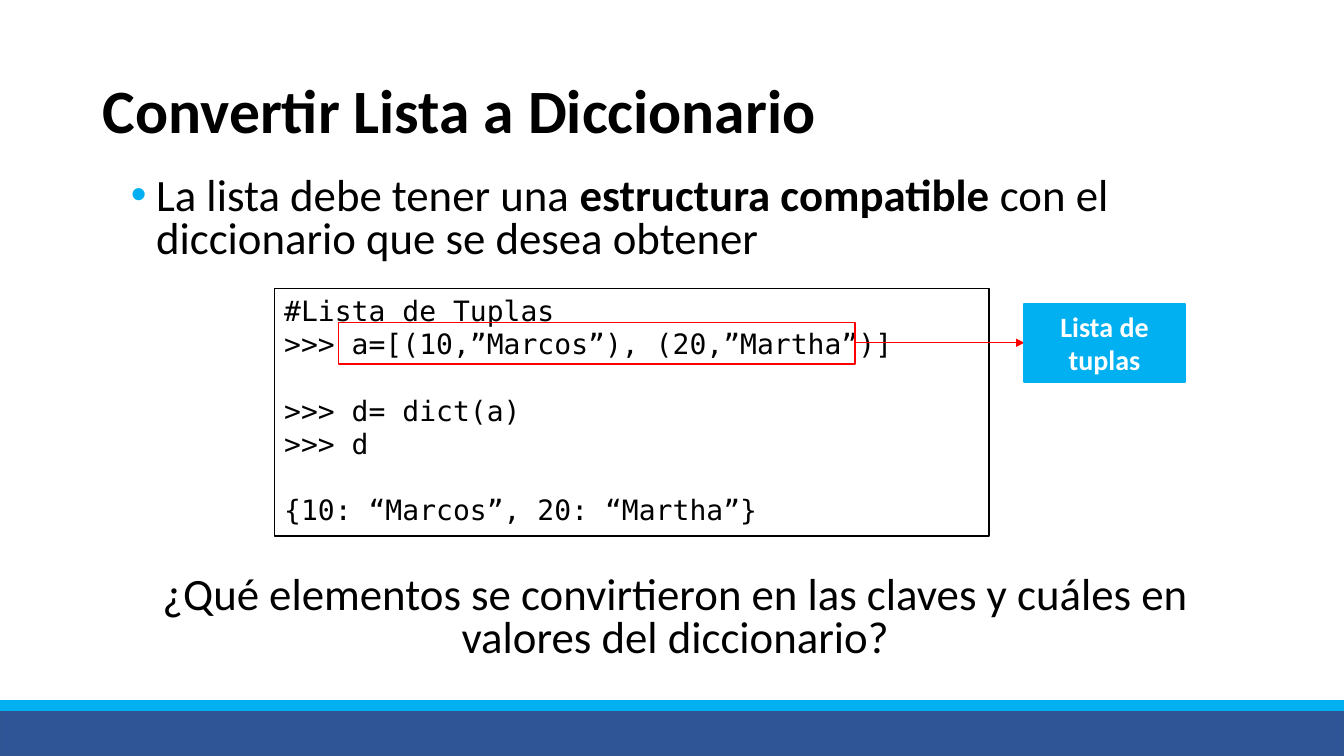
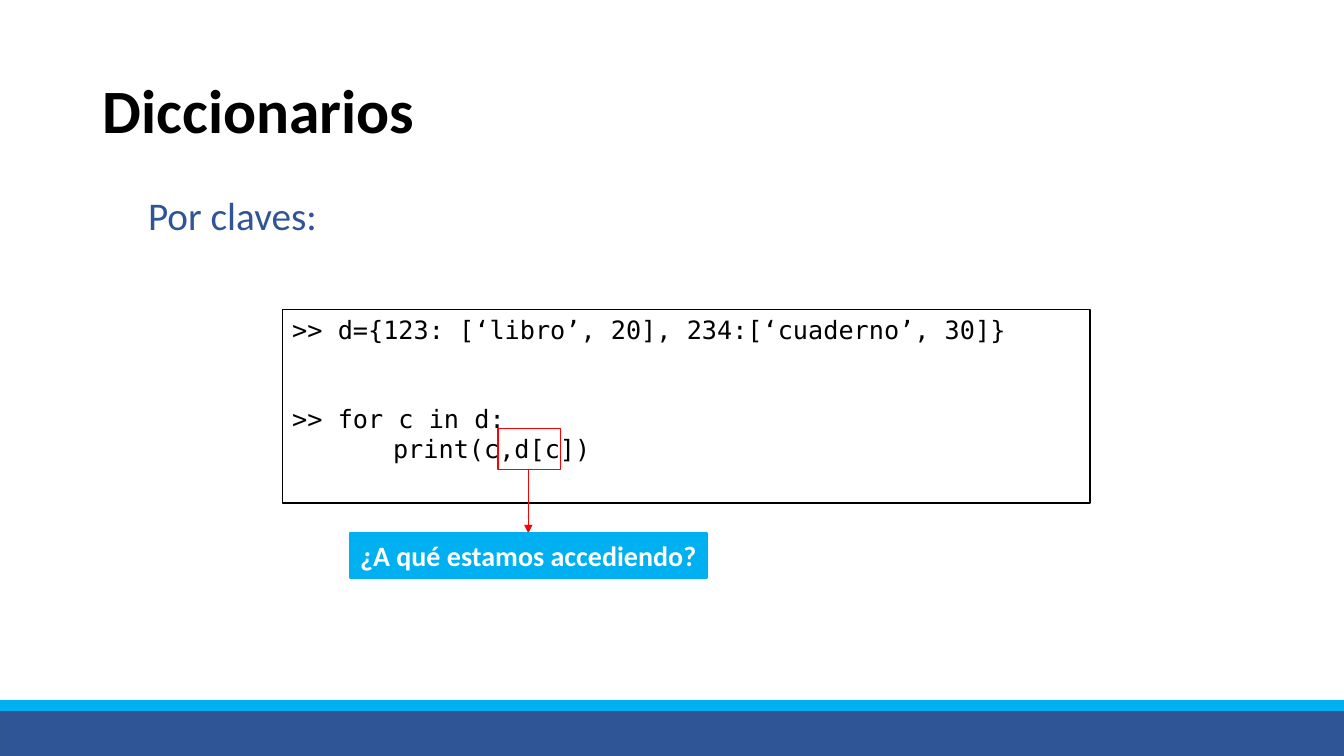
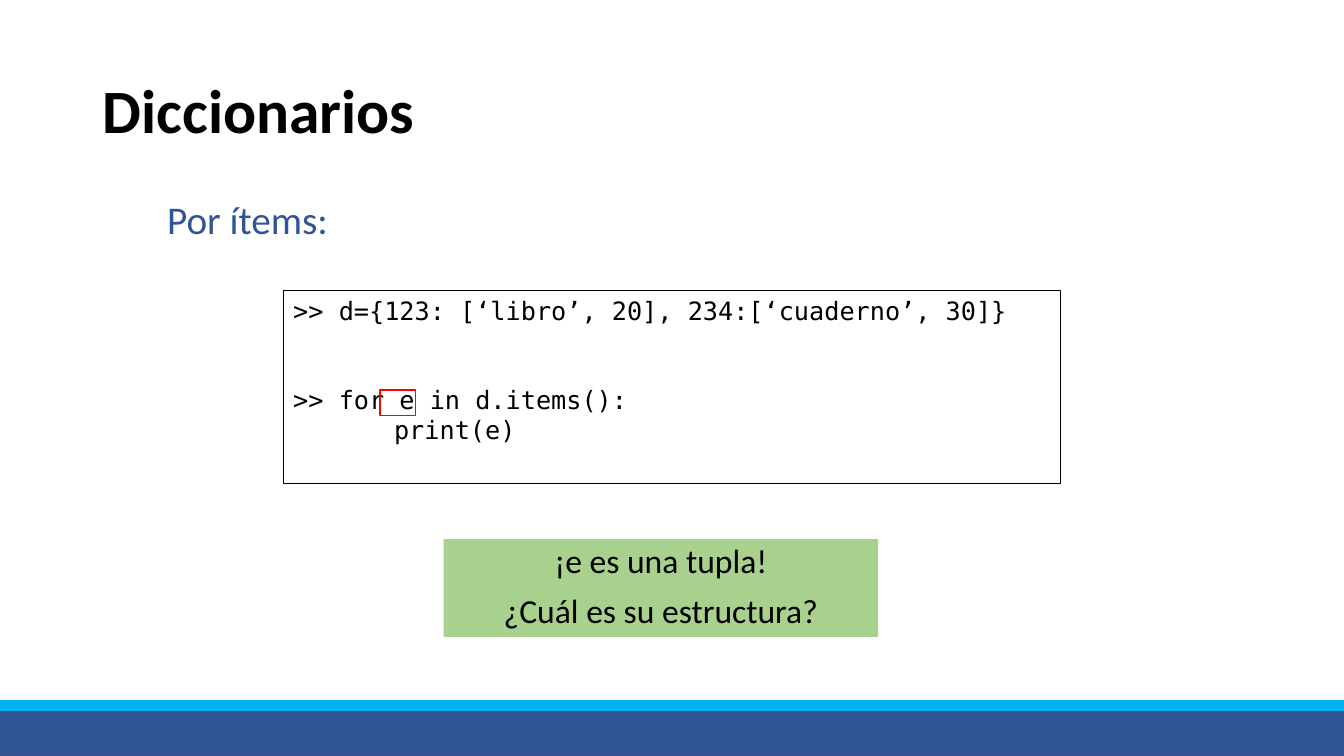
from lxml import etree
from pptx import Presentation
from pptx import util as u
from pptx.dml import color
from pptx.enum import shapes, text
from pptx.oxml import ns

COLORS = {
    "black": "000000", "white": "FFFFFF", "red": "FF0000", "cyan": "00B0F0",
    "blue": "2F5597", "blue_edge": "325491", "green": "A9D18E",
}
SANS = "Calibri"
MONO = "DejaVu Sans Mono"
CENTER = text.PP_ALIGN.CENTER
CODE_LINE = 1.164
TITLE = {"size": u.Pt(44), "bold": True}
BODY = {"size": u.Pt(32)}
SUBTITLE = {"size": u.Pt(28), "color": "blue"}
CALLOUT = {"size": u.Pt(20), "bold": True, "color": "white"}
ANSWER = {"size": u.Pt(24)}
BODY_FORMAT = {"line_spacing": 0.8, "space_before": u.Pt(10)}


def rgb(name):
    return color.RGBColor.from_string(COLORS[name])


def add_xml(parent, tag, **attributes):
    return etree.SubElement(parent, ns.qn(tag), attributes)


def assign(target, values):
    for name, value in values.items():
        setattr(target, name, value)


def write(box, paragraphs, font, layout=None, anchor=text.MSO_ANCHOR.TOP):
    frame = box.text_frame
    assign(frame, {"word_wrap": True, "vertical_anchor": anchor})
    values = {"name": SANS, "bold": False, **font}
    ink = values.pop("color", "black")
    for index, runs in enumerate(paragraphs):
        para = frame.paragraphs[0] if index == 0 else frame.add_paragraph()
        assign(para, {"alignment": text.PP_ALIGN.LEFT, **(layout or {})})
        for content, bold in [(runs, None)] if isinstance(runs, str) else runs:
            span = para.add_run()
            span.text = content
            assign(span.font, values if bold is None else {**values, "bold": bold})
            span.font.color.rgb = rgb(ink)
    return frame.paragraphs


def add_text(page, place, paragraphs, font, layout=None, **options):
    box = page.shapes.add_textbox(*map(u.Inches, place))
    return write(box, paragraphs, font, layout, **options)


def add_box(page, place, fill=None, line=None, width=1):
    box = page.shapes.add_shape(shapes.MSO_SHAPE.RECTANGLE, *map(u.Inches, place))
    box.shadow.inherit = False
    if fill:
        box.fill.solid()
        box.fill.fore_color.rgb = rgb(fill)
    else:
        box.fill.background()
    if line:
        box.line.color.rgb = rgb(line)
        box.line.width = u.Pt(width)
    else:
        box.line.fill.background()
    return box


def add_code(page, place, size, lines):
    box = add_box(page, place, "white", "black")
    paragraphs = write(box, [line for line, _, _ in lines],
                       {"name": MONO, "size": u.Pt(size)})
    for para, (_, blank_lines, indent) in zip(paragraphs, lines):
        para.space_before = u.Pt(round(blank_lines * size * CODE_LINE, 1))
        para._p.get_or_add_pPr().set("marL", str(u.Inches(indent)))


def add_callout(page, place, label):
    box = add_box(page, place, "cyan", "cyan", 1.5)
    write(box, [label], CALLOUT, {"alignment": CENTER})


def add_highlight(page, place):
    add_box(page, place, line="red")


def add_arrow(page, start, end):
    arrow = page.shapes.add_connector(
        shapes.MSO_CONNECTOR.STRAIGHT, *map(u.Inches, (*start, *end)))
    arrow.line.color.rgb = rgb("red")
    arrow.line.width = u.Pt(0.5)
    add_xml(arrow.line._get_or_add_ln(), "a:tailEnd", type="triangle")
    add_xml(arrow._element.spPr, "a:effectLst")


def add_bullet(para):
    properties = para._p.get_or_add_pPr()
    properties.set("marL", str(u.Inches(0.25)))
    properties.set("indent", str(u.Inches(-0.25)))
    add_xml(add_xml(properties, "a:buClr"), "a:srgbClr", val=COLORS["cyan"])
    add_xml(properties, "a:buFont", typeface="Arial")
    add_xml(properties, "a:buChar", char="•")


def add_page(deck, title):
    page = deck.slides.add_slide(deck.slide_layouts[6])
    add_box(page, (0, 7.03, 13.33, 0.47), "blue", "blue_edge")
    add_box(page, (0, 6.95, 13.33, 0.1), "cyan", "cyan")
    add_text(page, (0.92, 0.4, 11.5, 1.45), [title], TITLE,
             {"line_spacing": 0.9}, anchor=text.MSO_ANCHOR.MIDDLE)
    return page


def add_loop_code(page, place, loop, body):
    add_code(page, place, 18, [
        (">> d={123: [‘libro’, 20], 234:[‘cuaderno’, 30]}", 0, 0),
        (loop, 2, 0),
        (body, 0, 1),
    ])


def build_conversion(deck):
    page = add_page(deck, "Convertir Lista a Diccionario")
    statement = [("La lista debe tener una ", False),
                 ("estructura compatible ", True),
                 ("con el diccionario que se desea obtener", False)]
    add_bullet(add_text(page, (1.2, 1.71, 11, 1.05), [statement], BODY, BODY_FORMAT)[0])
    add_code(page, (2.72, 2.86, 7.09, 2.46), 20, [
        ("#Lista de Tuplas", 0, 0),
        (">>> a=[(10,”Marcos”), (20,”Martha”)]", 0, 0),
        (">>> d= dict(a)", 1, 0),
        (">>> d", 0, 0),
        ("{10: “Marcos”, 20: “Martha”}", 1, 0),
    ])
    add_arrow(page, (8.48, 3.4), (10.16, 3.4))
    add_callout(page, (10.16, 3.02, 1.59, 0.77), "Lista de tuplas")
    add_highlight(page, (3.36, 3.2, 5.12, 0.41))
    add_text(page, (1.2, 5.67, 11, 1.05),
             ["¿Qué elementos se convirtieron en las claves y cuáles en valores del diccionario?"],
             BODY, {**BODY_FORMAT, "alignment": CENTER})


def build_keys(deck):
    page = add_page(deck, "Diccionarios")
    add_loop_code(page, (2.8, 3.07, 8.01, 1.92), ">> for c in d:", "print(c,d[c])")
    add_text(page, (1.37, 1.85, 3.71, 0.57), ["Por claves:"], SUBTITLE)
    add_arrow(page, (5.24, 4.66), (5.24, 5.29))
    add_callout(page, (3.47, 5.29, 3.54, 0.44), "¿A qué estamos accediendo?")
    add_highlight(page, (4.94, 4.25, 0.62, 0.41))


def build_items(deck):
    page = add_page(deck, "Diccionarios")
    add_loop_code(page, (2.81, 2.88, 7.71, 1.92), ">> for e in d.items():", "print(e)")
    add_text(page, (1.56, 1.89, 4.93, 0.57), ["Por ítems:"], SUBTITLE)
    answer = add_box(page, (4.4, 5.35, 4.31, 0.97), "green")
    write(answer, ["¡e es una tupla!", "¿Cuál es su estructura?"], ANSWER,
          {"alignment": CENTER, "line_spacing": 0.9, "space_before": u.Pt(10)})
    add_highlight(page, (3.77, 3.87, 0.35, 0.25))


def main():
    deck = Presentation()
    assign(deck, {"slide_width": u.Inches(13.33), "slide_height": u.Inches(7.5)})
    for build in (build_conversion, build_keys, build_items):
        build(deck)
    deck.save("out.pptx")


if __name__ == "__main__":
    main()
